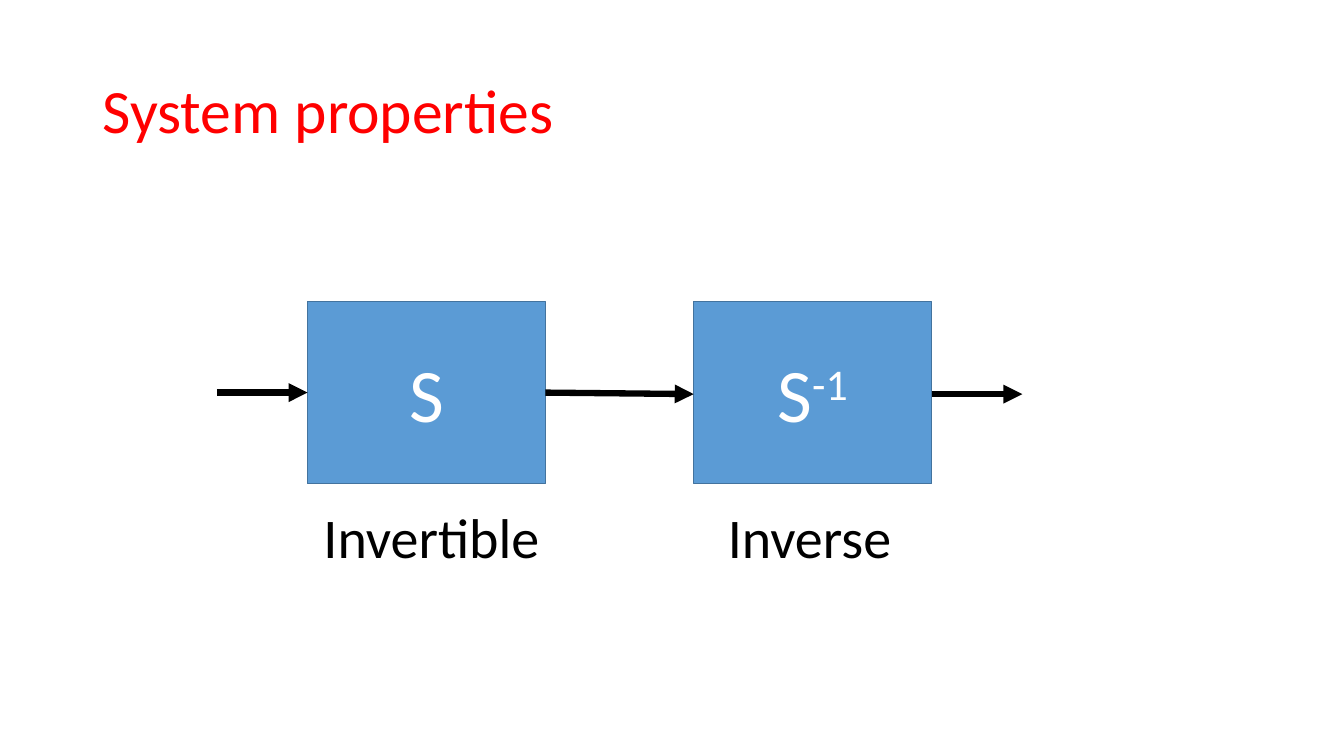
import pptx
import pptx.util
import pptx.dml.color
import pptx.enum.shapes
import pptx.enum.text
import pptx.oxml.ns
import lxml.etree

PX = 9144
COLORS = {"title": "FF0000", "block": "5B9BD5", "border": "43739E",
          "block_text": "FFFFFF", "ink": "000000"}
ANCHOR = pptx.enum.text.MSO_ANCHOR
ALIGN = pptx.enum.text.PP_ALIGN


def color(name):
    return pptx.dml.color.RGBColor.from_string(COLORS[name])


def write_text(shape, text, size, ink, superscript="", anchor=ANCHOR.TOP,
               align=ALIGN.LEFT, spacing=1.0, tab=None):
    frame = shape.text_frame
    frame.word_wrap = True
    frame.vertical_anchor = anchor
    paragraph = frame.paragraphs[0]
    paragraph.alignment = align
    paragraph.line_spacing = spacing
    if tab:
        tabs = lxml.etree.SubElement(paragraph._p.get_or_add_pPr(), pptx.oxml.ns.qn("a:tabLst"))
        lxml.etree.SubElement(tabs, pptx.oxml.ns.qn("a:tab"), pos=str(tab * PX), algn="l")
    for part, baseline in ((text, 0), (superscript, 30000)):
        if part:
            run = paragraph.add_run()
            run.text = part
            run.font.name = "Calibri"
            run.font.size = pptx.util.Pt(size)
            run.font.color.rgb = color(ink)
            if baseline:
                run._r.get_or_add_rPr().set("baseline", str(baseline))


presentation = pptx.Presentation()
presentation.slide_width = 1333 * PX
presentation.slide_height = 750 * PX
slide = presentation.slides.add_slide(presentation.slide_layouts[6])

title = slide.shapes.add_textbox(92 * PX, 40 * PX, 1150 * PX, 145 * PX)
write_text(title, "System properties", size=44, ink="title", anchor=ANCHOR.MIDDLE, spacing=0.9)

blocks = []
for left, superscript in ((305, ""), (688, "-1")):
    block = slide.shapes.add_shape(pptx.enum.shapes.MSO_SHAPE.RECTANGLE,
                                   left * PX, 299 * PX, 236 * PX, 181 * PX)
    block.shadow.inherit = False
    block.fill.solid()
    block.fill.fore_color.rgb = color("block")
    block.line.color.rgb = color("border")
    block.line.width = pptx.util.Pt(1)
    write_text(block, "S", size=54, ink="block_text", superscript=superscript,
               anchor=ANCHOR.MIDDLE, align=ALIGN.CENTER)
    blocks.append(block)
system = blocks[0]

arrows = []
for start_x, start_y, end_x, end_y in ((215, 389, 305, 389), (541, 389, 688, 391), (924, 391, 1014, 391)):
    arrow = slide.shapes.add_connector(pptx.enum.shapes.MSO_CONNECTOR.STRAIGHT,
                                       start_x * PX, start_y * PX, end_x * PX, end_y * PX)
    arrow.line.color.rgb = color("ink")
    arrow.line.width = pptx.util.Pt(4.5)
    lxml.etree.SubElement(arrow.line._get_or_add_ln(), pptx.oxml.ns.qn("a:tailEnd"), type="triangle")
    lxml.etree.SubElement(arrow._element.spPr, pptx.oxml.ns.qn("a:effectLst"))
    arrows.append(arrow)
input_arrow, middle_arrow, output_arrow = arrows
input_arrow.end_connect(system, 1)
input_arrow.begin_y = input_arrow.end_y
middle_arrow.begin_connect(system, 3)

captions = slide.shapes.add_textbox(311 * PX, 494 * PX, 608 * PX, 77 * PX)
write_text(captions, "Invertible\tInverse", size=40, ink="ink", tab=401)

presentation.save("out.pptx")
